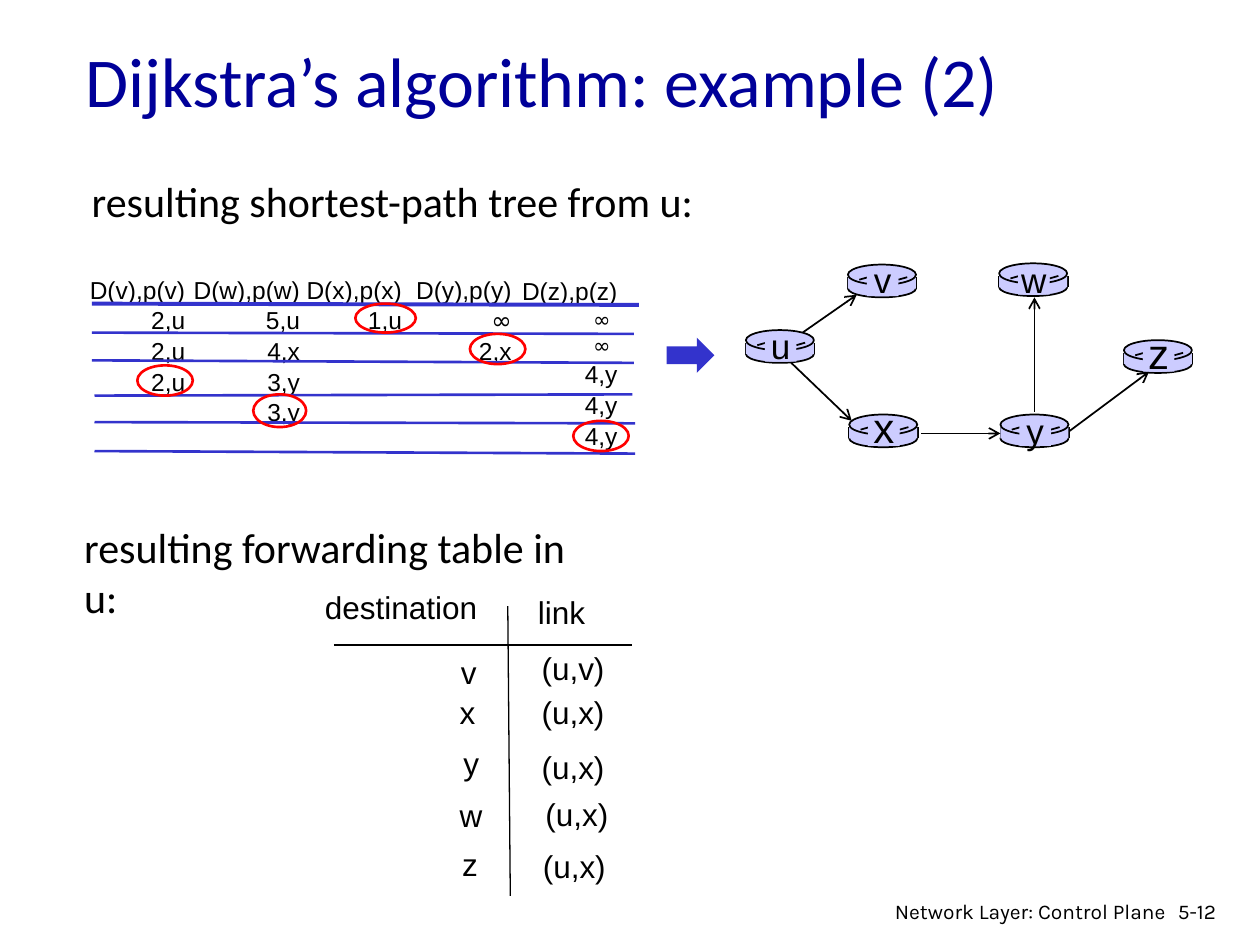
from lxml import etree
from pptx import Presentation
from pptx.dml.color import RGBColor
from pptx.enum.shapes import MSO_CONNECTOR, MSO_SHAPE
from pptx.enum.text import MSO_ANCHOR, PP_ALIGN
from pptx.oxml.ns import qn
from pptx.util import Inches, Pt

OVAL, RECT, ARROW = MSO_SHAPE.OVAL, MSO_SHAPE.RECTANGLE, MSO_SHAPE.RIGHT_ARROW
STRAIGHT = MSO_CONNECTOR.STRAIGHT
LEFT, CENTER, RIGHT = PP_ALIGN.LEFT, PP_ALIGN.CENTER, PP_ALIGN.RIGHT
MIDDLE = MSO_ANCHOR.MIDDLE

# The slide is a grid of 100 columns by 75 rows
COLS, ROWS = 100, 75
CELL = Inches(10) / COLS
COLORS = {"title": "000099", "ink": "000000", "router": "CCCCFF",
          "rule": "3333CC", "ring": "FF0000"}

# Routers: left, top, label size, label top, label width
ROUTERS = {
    "u": (59.2, 26.2, 20, 25.3, 3.6), "x": (67.4, 32.9, 24, 31.4, 3.7),
    "v": (67.3, 21, 20, 20, 3.4), "w": (79.3, 20.9, 20, 20, 4),
    "y": (79.4, 32.9, 20, 32, 3.4), "z": (89.2, 27, 24, 25.5, 3.7),
}
TREE_EDGES = [(63.7, 26.4, 68, 23.4), (62.8, 28.8, 67.6, 33.4),
              (73.1, 34.4, 79.4, 34.4), (82.1, 32.7, 82.1, 23.6),
              (84.9, 34.2, 91.2, 29.5)]

# Step columns: left, top, width, height, lines
STEP_COLUMNS = [
    (6.1, 21.3, 9.6, 8.9, ["D(v),p(v)", "2,u", "2,u", "2,u"]),
    (14.3, 21.3, 10.5, 10.9, ["D(w),p(w)", "5,u", "4,x", "3,y", "3,y"]),
    (23.3, 21.3, 9.6, 4.9, ["D(x),p(x)", "1,u"]),
    (32, 21.3, 9.6, 6.9, ["D(y),p(y)", "∞", "2,x"]),
    (40.4, 21.4, 9.6, 12.3, ["D(z),p(z)", "∞ ", "∞ ", "4,y", "4,y", "4,y"]),
]
STEP_RULES = [(7.3, 24.1, 50.7, 24.2), (7.3, 26.4, 50.3, 26.5),
              (7.3, 28.6, 50.3, 28.8), (7.5, 31.4, 50.2, 31.3),
              (7.5, 33.5, 50.4, 33.6), (7.5, 35.8, 50.4, 36)]
CHOSEN = [(28.2, 24.1, 4.8, 2.3), (37.3, 26.5, 4.4, 2.4), (10.9, 29, 4.4, 2.4),
          (20.1, 31.3, 4.2, 2.6), (45.5, 33.4, 4.4, 2.4)]

# Forwarding table: text, left, top, width of each half of a row
FORWARDING = [
    (("destination", 24.8, 46.2, 14.1), ("link", 41.7, 46.6, 5.8)),
    (("v", 35.6, 51.3, 3.3), ("(u,v)", 42, 51, 7)),
    (("x", 35.5, 54.5, 3.3), ("(u,x)", 42, 54.5, 7)),
    (("y", 35.8, 58.6, 3.3), ("(u,x)", 42, 58.9, 7)),
    (("w", 35.5, 62.7, 3.8), ("(u,x)", 42.3, 62.6, 7)),
    (("z", 35.7, 66.6, 3.3), ("(u,x)", 42.1, 66.7, 7)),
]


def grid(*cells):
    return [round(c * CELL) for c in cells]


def rgb(name):
    return RGBColor.from_string(COLORS[name])


def style_run(r, size, font, color="ink"):
    for key, value in {"size": Pt(size), "name": font}.items():
        setattr(r.font, key, value)
    r.font.color.rgb = rgb(color)


def add_text(s, at, lines, size, font="Arial", align=LEFT, wrap=False, before=0):
    tf = s.shapes.add_textbox(*grid(*at)).text_frame
    tf.word_wrap = wrap
    for i, line in enumerate(lines):
        p = tf.paragraphs[0] if i == 0 else tf.add_paragraph()
        p.alignment, p.space_before = align, Pt(before)
        r = p.add_run()
        r.text = line
        style_run(r, size, font)
    return tf


def add_shape(s, kind, at, fill=None, line=None, width=1):
    sp = s.shapes.add_shape(kind, *grid(*at))
    sp.shadow.inherit = False
    if fill:
        sp.fill.solid()
        sp.fill.fore_color.rgb = rgb(fill)
    else:
        sp.fill.background()
    if line:
        sp.line.color.rgb = rgb(line)
        sp.line.width = Pt(width)
    else:
        sp.line.fill.background()


def add_line(s, ends, color="ink", width=1, arrow=False):
    c = s.shapes.add_connector(STRAIGHT, *grid(*ends))
    c.line.color.rgb = rgb(color)
    c.line.width = Pt(width)
    if arrow:
        etree.SubElement(c.line._get_or_add_ln(), qn("a:tailEnd"), type="arrow")
    etree.SubElement(c._element.spPr, qn("a:effectLst"))


def add_router(s, x, y):
    # Base, sides and top of a flat cylinder
    add_shape(s, OVAL, (x, y + 1.2, 5.4, 1.4), "router", "ink")
    for side in (x, x + 5.45):
        add_line(s, (side, y + 1, side, y + 1.9))
    add_shape(s, RECT, (x, y + 1, 5.4, 0.9), "router")
    add_shape(s, OVAL, (x, y, 5.4, 1.6), "router", "ink")
    for start, end in ((0.9, 1.6), (4, 4.7)):
        add_line(s, (x + start, y + 1.2, x + end, y + 1))


def add_tree(s):
    for x, y, *_ in ROUTERS.values():
        add_router(s, x, y)
    for ends in TREE_EDGES:
        add_line(s, ends, arrow=True)
    for name, (x, y, size, top, width) in ROUTERS.items():
        add_shape(s, RECT, (x + 1.5, y + 0.2, 2.5, 2.3), "router")
        left = x + 2.75 - width / 2
        add_text(s, (left, top, width, size / 5), [name], size, align=CENTER)


def add_steps(s):
    for *at, lines in STEP_COLUMNS:
        tf = add_text(s, at, lines, 14, align=RIGHT, before=0.7)
        for p in tf.paragraphs:
            if "∞" in p.text:
                style_run(p.runs[0], 12 if p.text.endswith(" ") else 14, "Comic Neue")
    for i, ends in enumerate(STEP_RULES):
        add_line(s, ends, "rule", 1.5 if i else 2.25)
    for at in CHOSEN:
        add_shape(s, OVAL, at, line="ring", width=1.5)


def add_forwarding(s):
    add_line(s, (40.3, 48.1, 40.5, 71.1), width=0.75)
    add_line(s, (26.5, 51.2, 50.2, 51.2), width=0.75)
    for row in FORWARDING:
        for text, x, y, w in row:
            add_text(s, (x, y, w, 4), [text], 18)


def add_title(s, text):
    title = s.shapes.title
    title.left, title.top, title.width, title.height = grid(5.8, 1.7, 85, 9.3)
    tf = title.text_frame
    tf.text = text
    tf.vertical_anchor = MIDDLE
    tf.paragraphs[0].alignment = LEFT
    style_run(tf.paragraphs[0].runs[0], 40, "Calibri", "title")


def main():
    prs = Presentation()
    prs.slide_width, prs.slide_height = grid(COLS, ROWS)
    s = prs.slides.add_slide(prs.slide_layouts[5])
    add_title(s, "Dijkstra’s algorithm: example (2)")

    # Shortest-path tree, with the steps that lead to it
    add_tree(s)
    add_text(s, (6.3, 13.4, 50, 5), ["resulting shortest-path tree from u:"],
             24, "Calibri")
    add_steps(s)
    add_shape(s, ARROW, (52.9, 26.8, 3.8, 2.8), "rule")

    # Forwarding table
    add_forwarding(s)
    add_text(s, (5.7, 40.9, 43.2, 5), ["resulting forwarding table in u:"],
             24, "Calibri", wrap=True)

    # Footer
    add_text(s, (92.5, 70.8, 6, 3), ["5-12"], 12, "Karla", wrap=True)
    add_text(s, (69.7, 70.8, 23.8, 2.6), ["Network Layer: Control Plane"],
             12, "Karla", RIGHT, wrap=True)
    prs.save("out.pptx")


if __name__ == "__main__":
    main()
